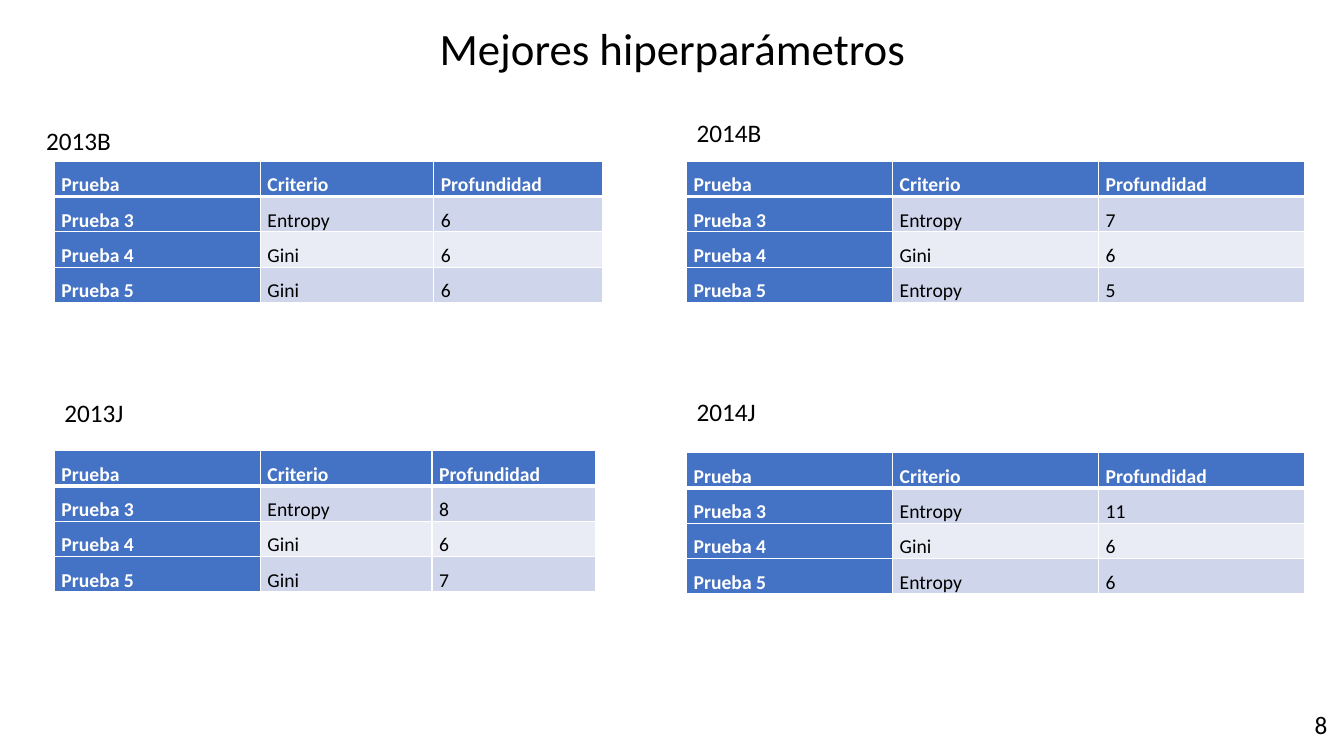
from lxml.etree import SubElement
from pptx import Presentation
from pptx.dml.color import RGBColor
from pptx.enum.text import MSO_ANCHOR as Anchor, MSO_AUTO_SIZE as AutoSize, PP_ALIGN as Align
from pptx.oxml.ns import qn
from pptx.util import Inches, Pt

SLIDE_WIDTH, SLIDE_HEIGHT = Inches(13.33), Inches(7.5)
BLACK = RGBColor(0x00, 0x00, 0x00)
WHITE = RGBColor(0xFF, 0xFF, 0xFF)
BLUE = RGBColor(0x44, 0x72, 0xC4)
BANDS = (RGBColor(0xCF, 0xD5, 0xEA), RGBColor(0xE9, 0xEB, 0xF5))

HEADER = ("Prueba", "Criterio", "Profundidad")
TESTS = ("Prueba 3", "Prueba 4", "Prueba 5")
LEFT, RIGHT = 4.05, 51.09  # left edges of the two table columns, % of width
ROW_HEIGHT = 4.67  # % of height
LABEL_HEIGHT = 5.33
EVEN_COLUMNS = (15.33, 15.33, 15.33)

# course, label box (left, top, width), table corner, column widths, criteria, depths
COURSES = (
    ("2013B", (2.7, 15.87, 6.38), (LEFT, 21.33), (15.33, 12.9, 12.53),
     ("Entropy", "Gini", "Gini"), (6, 6, 6)),
    ("2013J", (LEFT, 51.87, 5.93), (LEFT, 59.6), (15.33, 12.77, 12.17),
     ("Entropy", "Gini", "Gini"), (8, 6, 7)),
    ("2014B", (RIGHT, 14.8, 6.38), (RIGHT, 21.33), EVEN_COLUMNS,
     ("Entropy", "Gini", "Entropy"), (7, 6, 5)),
    ("2014J", (RIGHT, 51.73, 5.93), (RIGHT, 59.87), EVEN_COLUMNS,
     ("Entropy", "Gini", "Entropy"), (11, 6, 6)),
)


def across(percent):
    """Turn a percentage of the slide width into a length."""
    return round(SLIDE_WIDTH * percent / 100)


def down(percent):
    """Turn a percentage of the slide height into a length."""
    return round(SLIDE_HEIGHT * percent / 100)


def write(frame, text, size=18, color=BLACK, bold=False, align=Align.LEFT, spacing=1.0):
    """Put one formatted paragraph into a text frame."""
    para = frame.paragraphs[0]
    para.alignment = align
    para.line_spacing = spacing
    span = para.add_run()
    span.text = text
    span.font.name = "Calibri"
    span.font.size = Pt(size)
    span.font.bold = bold
    span.font.color.rgb = color


def fit_to_text(frame):
    """Let the shape follow its unwrapped text."""
    frame.word_wrap = False
    frame.auto_size = AutoSize.SHAPE_TO_FIT_TEXT
    frame.vertical_anchor = Anchor.TOP


def add_title(page, text):
    """Move and fill the title placeholder."""
    title = page.shapes.title
    title.left, title.top = across(31.81), down(2.13)
    title.width, title.height = across(36.46), down(8.53)
    fit_to_text(title.text_frame)
    write(title.text_frame, text, size=32, align=Align.CENTER)


def add_label(page, text, left, top, width):
    """Add a one-line text box."""
    box = page.shapes.add_textbox(across(left), down(top), across(width), down(LABEL_HEIGHT))
    fit_to_text(box.text_frame)
    write(box.text_frame, text)


def add_borders(cell, top=1, bottom=1):
    """Draw white cell borders; widths are in points."""
    properties = cell._tc.get_or_add_tcPr()
    for side, width in (("L", 1), ("R", 1), ("T", top), ("B", bottom)):
        line = SubElement(properties, qn(f"a:ln{side}"), w=str(Pt(width)))
        fill = SubElement(line, qn("a:solidFill"))
        SubElement(fill, qn("a:srgbClr"), val=str(WHITE))


def format_cell(cell, text, row, column):
    """Write a cell and style it by its place in the table."""
    heading = row == 0 or column == 0
    add_borders(cell, top=3 if row == 1 else 1, bottom=3 if row == 0 else 1)
    cell.fill.solid()
    cell.fill.fore_color.rgb = BLUE if heading else BANDS[(row - 1) % 2]
    cell.margin_left = cell.margin_right = Inches(0.07)
    cell.margin_top = cell.margin_bottom = 0
    write(cell.text_frame, text, size=14, color=WHITE if heading else BLACK,
          bold=heading, align=Align.JUSTIFY, spacing=1.5)


def add_results(page, left, top, widths, rows):
    """Add a table of the best hyperparameters."""
    frame = page.shapes.add_table(len(rows), len(widths), across(left), down(top),
                                  across(sum(widths)), down(ROW_HEIGHT * len(rows)))
    table = frame.table
    for column, width in zip(table.columns, widths):
        column.width = across(width)
    for row, values in enumerate(rows):
        table.rows[row].height = down(ROW_HEIGHT)
        for column, value in enumerate(values):
            format_cell(table.cell(row, column), str(value), row, column)


def main():
    """Build the slide and save the deck."""
    deck = Presentation()
    deck.slide_width, deck.slide_height = SLIDE_WIDTH, SLIDE_HEIGHT
    page = deck.slides.add_slide(deck.slide_layouts[5])
    add_title(page, "Mejores hiperparámetros")
    for course, label, corner, widths, criteria, depths in COURSES:
        add_label(page, course, *label)
        add_results(page, *corner, widths, [HEADER, *zip(TESTS, criteria, depths)])
    add_label(page, "8", 97.07, 93.2, 2.48)
    deck.save("out.pptx")


main()
